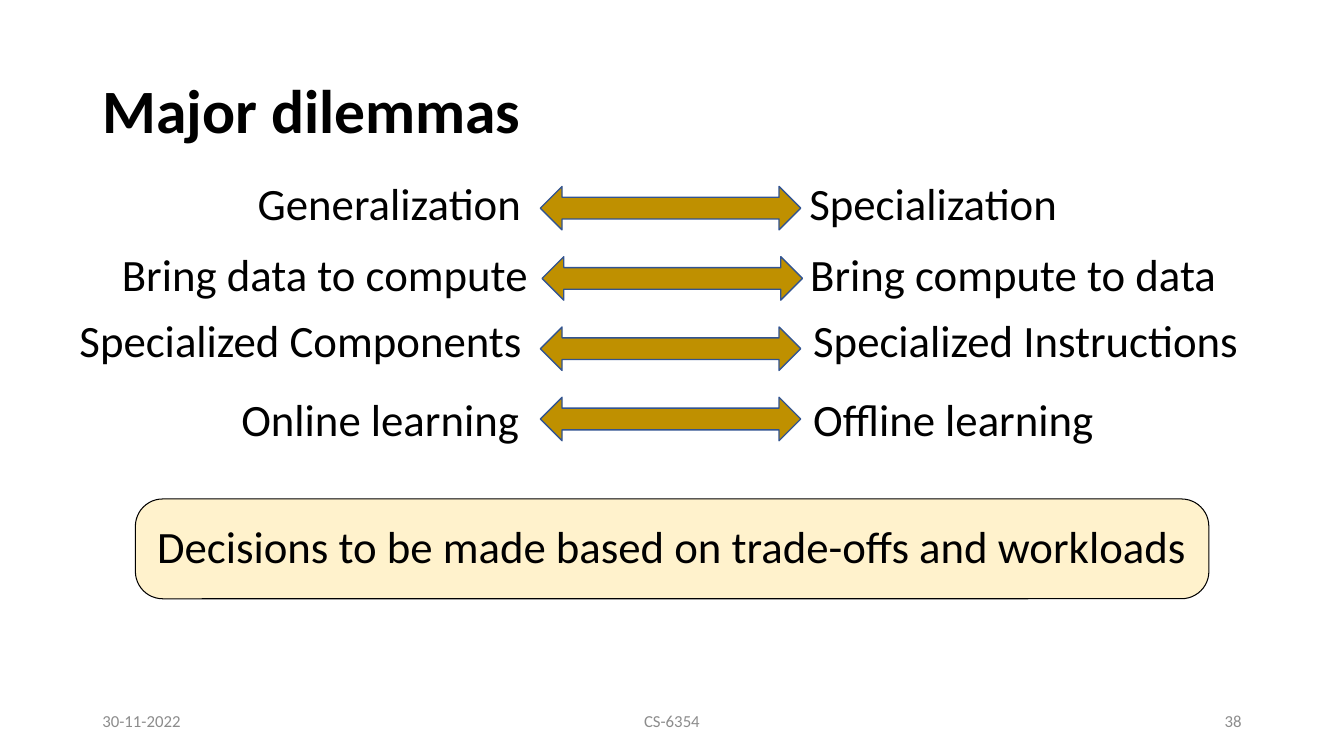
"""Build the "Major dilemmas" slide: opposing choices joined by arrows."""
from lxml import etree
from pptx import Presentation
from pptx.dml.color import RGBColor
from pptx.enum.shapes import MSO_SHAPE
from pptx.enum.text import MSO_ANCHOR, MSO_AUTO_SIZE, PP_ALIGN
from pptx.oxml.ns import qn
from pptx.util import Pt

LEFT, CENTER, RIGHT = PP_ALIGN.LEFT, PP_ALIGN.CENTER, PP_ALIGN.RIGHT
TOP, MIDDLE = MSO_ANCHOR.TOP, MSO_ANCHOR.MIDDLE
DOUBLE_ARROW = MSO_SHAPE.LEFT_RIGHT_ARROW
NO_FIT = MSO_AUTO_SIZE.NONE

TITLE = "Major dilemmas"
CONCLUSION = "Decisions to be made based on trade-offs and workloads"
# (text, left, width, alignment) on each side, then row top and arrow left
DILEMMAS = [
    (("Generalization", 177, 210, LEFT), ("Specialization", 571, 210, LEFT), 121.7, 386),
    (("Bring data to compute", 80, 307, LEFT), ("Bring compute to data", 571.7, 307, LEFT), 172.6, 387.2),
    (("Specialized Components", 49.7, 336, LEFT), ("Specialized Instructions", 573.8, 324, LEFT), 219.5, 386),
    (("Online learning", 157.7, 228, CENTER), ("Offline learning", 573.8, 307, LEFT), 276.5, 386),
]
FOOTERS = [("30-11-2022", 66, 216, LEFT), ("CS-6354", 318, 324, CENTER), ("38", 678, 216, RIGHT)]
ARROW_TOP, ARROW_PITCH, ARROW_WIDTH, ARROW_HEIGHT = 133.2, 50.2, 186, 31
CHOICE_HEIGHT, FOOTER_TOP, FOOTER_HEIGHT = 46, 500.5, 28.75


def color(value):
    return RGBColor.from_string(value)


def place(shape, left, top, width, height):
    shape.left, shape.top, shape.width, shape.height = Pt(left), Pt(top), Pt(width), Pt(height)


def write(shape, text, size, align, anchor, ink="000000", bold=False):
    frame = shape.text_frame
    frame.text = text
    frame.word_wrap = True
    frame.auto_size = NO_FIT
    frame.vertical_anchor = anchor
    paragraph = frame.paragraphs[0]
    paragraph.alignment = align
    font = paragraph.runs[0].font
    font.name, font.size, font.bold = "Calibri", Pt(size), bold
    font.color.rgb = color(ink)
    return paragraph


def paint(shape, fill, line, weight):
    shape.fill.solid()
    shape.fill.fore_color.rgb = color(fill)
    shape.line.color.rgb = color(line)
    shape.line.width = Pt(weight)


def add_label(slide, label, top, height, size, anchor, ink="000000"):
    text, left, width, align = label
    box = slide.shapes.add_textbox(Pt(left), Pt(top), Pt(width), Pt(height))
    write(box, text, size, align, anchor, ink)


def add_conclusion(body):
    place(body, 96.7, 356.4, 766.8, 71.3)
    geometry = etree.SubElement(body._element.spPr, qn("a:prstGeom"), prst="roundRect")
    adjustments = etree.SubElement(geometry, qn("a:avLst"))
    etree.SubElement(adjustments, qn("a:gd"), name="adj", fmla="val 27400")
    paint(body, "FFF2CC", "000000", 0.75)
    paragraph = write(body, CONCLUSION, 32, CENTER, MIDDLE)
    paragraph.line_spacing = 0.9
    paragraph.space_before = Pt(0)
    properties = paragraph._p.get_or_add_pPr()
    properties.set("marL", "0")
    properties.set("indent", "0")
    etree.SubElement(properties, qn("a:buNone"))


def main():
    deck = Presentation()
    deck.slide_width, deck.slide_height = Pt(960), Pt(540)
    slide = deck.slides.add_slide(deck.slide_layouts[1])

    title = slide.shapes.title
    place(title, 66, 28.75, 828, 104.4)
    write(title, TITLE, 44, LEFT, MIDDLE, bold=True).line_spacing = 0.9
    add_conclusion(slide.placeholders[1])

    for row, (choice, opposite, top, arrow_left) in enumerate(DILEMMAS):
        arrow_top = ARROW_TOP + row * ARROW_PITCH
        arrow = slide.shapes.add_shape(
            DOUBLE_ARROW, Pt(arrow_left), Pt(arrow_top), Pt(ARROW_WIDTH), Pt(ARROW_HEIGHT))
        arrow.shadow.inherit = False
        paint(arrow, "BF9000", "325491", 1)
        for label in (choice, opposite):
            add_label(slide, label, top, CHOICE_HEIGHT, 32, TOP)

    for footer in FOOTERS:
        add_label(slide, footer, FOOTER_TOP, FOOTER_HEIGHT, 12, MIDDLE, "8C8C8C")

    deck.save("out.pptx")


if __name__ == "__main__":
    main()
